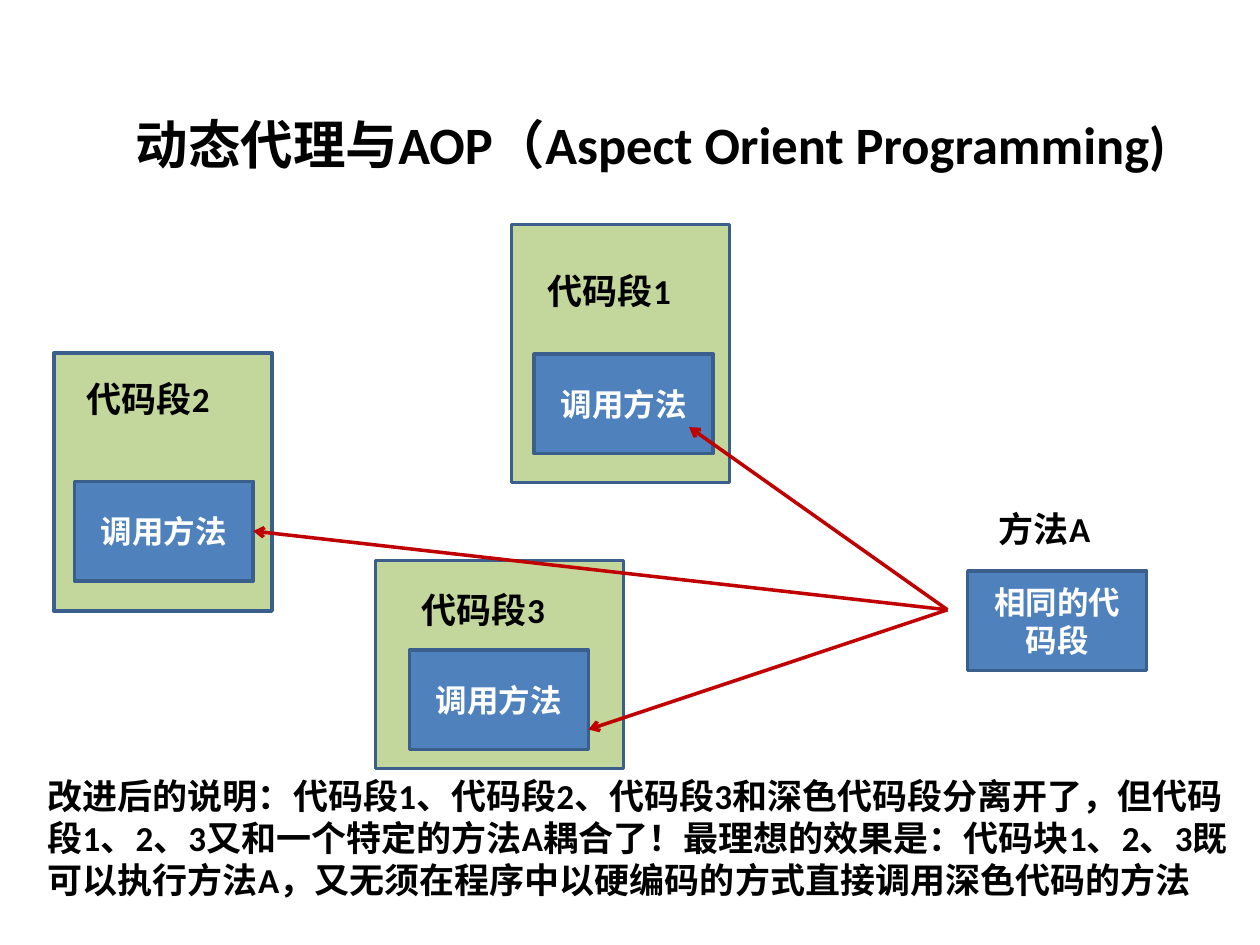
from dataclasses import dataclass
from typing import Optional

import pptx
import pptx.dml.color
import pptx.enum.shapes
import pptx.enum.text
import pptx.oxml.ns
import pptx.util
from lxml import etree

PX_PER_INCH = 100
CALL_W, CALL_H = 142, 79
LABEL_H = 44


@dataclass(frozen=True)
class Theme:
    latin: str = "Calibri"
    cjk: str = "Noto Sans CJK SC"
    ink: str = "000000"
    light_ink: str = "FFFFFF"
    segment: str = "C3D69B"
    call: str = "4F81BD"
    border: str = "3A5F8C"
    arrow: str = "C00000"
    title_pt: int = 30
    body_pt: int = 20
    call_pt: int = 18
    line_pt: int = 2


@dataclass(frozen=True)
class Box:
    x: int
    y: int
    w: int
    h: int


@dataclass(frozen=True)
class Segment:
    """A code segment, its label, its call box and the tip of its arrow."""
    frame: Box
    label: str
    label_at: tuple[int, int]
    call_at: tuple[int, int]
    tip: tuple[int, int]
    tip_site: Optional[int] = None


THEME = Theme()
HUB = (752, 484)
SEGMENTS = [
    Segment(Box(406, 178, 173, 205), "代码段1", (425, 209), (424, 281), (547, 339)),
    Segment(Box(43, 280, 173, 205), "代码段2", (59, 295), (59, 382), (201, 421), 3),
    Segment(Box(298, 445, 197, 165), "代码段3", (325, 462), (325, 516), (467, 579)),
]
SUMMARY = (
    "改进后的说明：代码段1、代码段2、代码段3和深色代码段分离开了，"
    "但代码段1、2、3又和一个特定的方法A耦合了！最理想的效果是："
    "代码块1、2、3既可以执行方法A，又无须在程序中以硬编码的方式直接调用深色代码的方法"
)


def px(n: int) -> int:
    return pptx.util.Emu(n * 914400 // PX_PER_INCH)


def rgb(color: str) -> pptx.dml.color.RGBColor:
    return pptx.dml.color.RGBColor.from_string(color)


def place(box: Box) -> tuple[int, int, int, int]:
    return px(box.x), px(box.y), px(box.w), px(box.h)


def write(tf, text: str, size: int, color: str, cjk: bool = False) -> None:
    """Set bold text; cjk also names the East Asian font."""
    tf.word_wrap = True
    tf.text = text
    r = tf.paragraphs[0].runs[0]
    r.font.size = pptx.util.Pt(size)
    r.font.bold = True
    r.font.color.rgb = rgb(color)
    r.font.name = THEME.latin
    if cjk:
        ea = etree.SubElement(r.font._element, pptx.oxml.ns.qn("a:ea"))
        ea.set("typeface", THEME.cjk)


def add_text(s, box: Box, text: str, size: int = THEME.body_pt, cjk: bool = False) -> None:
    tf = s.shapes.add_textbox(*place(box)).text_frame
    write(tf, text, size, THEME.ink, cjk)
    tf.auto_size = pptx.enum.text.MSO_AUTO_SIZE.SHAPE_TO_FIT_TEXT


def add_rect(s, box: Box, fill: str):
    sp = s.shapes.add_shape(pptx.enum.shapes.MSO_SHAPE.RECTANGLE, *place(box))
    sp.shadow.inherit = False
    sp.fill.solid()
    sp.fill.fore_color.rgb = rgb(fill)
    sp.line.color.rgb = rgb(THEME.border)
    sp.line.width = pptx.util.Pt(THEME.line_pt)
    return sp


def add_call(s, at: tuple[int, int], text: str):
    sp = add_rect(s, Box(*at, CALL_W, CALL_H), THEME.call)
    tf = sp.text_frame
    write(tf, text, THEME.call_pt, THEME.light_ink, cjk=True)
    tf.vertical_anchor = pptx.enum.text.MSO_ANCHOR.MIDDLE
    tf.paragraphs[0].alignment = pptx.enum.text.PP_ALIGN.CENTER
    return sp


def add_arrow(s, segment: Segment, call) -> None:
    """Draw a line from the hub whose arrowhead sits on the call box."""
    cxn = s.shapes.add_connector(
        pptx.enum.shapes.MSO_CONNECTOR.STRAIGHT, *map(px, segment.tip + HUB))
    if segment.tip_site is not None:
        cxn.begin_connect(call, segment.tip_site)
    cxn.line.color.rgb = rgb(THEME.arrow)
    cxn.line.width = pptx.util.Pt(THEME.line_pt)
    head = etree.SubElement(cxn.line._get_or_add_ln(), pptx.oxml.ns.qn("a:headEnd"))
    head.set("type", "arrow")
    etree.SubElement(cxn._element.spPr, pptx.oxml.ns.qn("a:effectLst"))


def main() -> None:
    prs = pptx.Presentation()
    prs.slide_width, prs.slide_height = px(1000), px(750)
    s = prs.slides.add_slide(prs.slide_layouts[6])

    add_text(s, Box(98, 84, 850, 61), "动态代理与AOP（Aspect Orient Programming)",
             THEME.title_pt)
    for segment in SEGMENTS:
        add_rect(s, segment.frame, THEME.segment)
    calls = [add_call(s, segment.call_at, "调用方法") for segment in SEGMENTS]
    for segment in SEGMENTS:
        add_text(s, Box(*segment.label_at, CALL_W, LABEL_H), segment.label)
    for segment, call in zip(SEGMENTS, calls):
        add_arrow(s, segment, call)

    add_call(s, (768, 453), "相同的代码段")
    add_text(s, Box(783, 398, 102, LABEL_H), "方法A", cjk=True)
    add_text(s, Box(28, 610, 961, 111), SUMMARY)
    prs.save("out.pptx")


if __name__ == "__main__":
    main()
